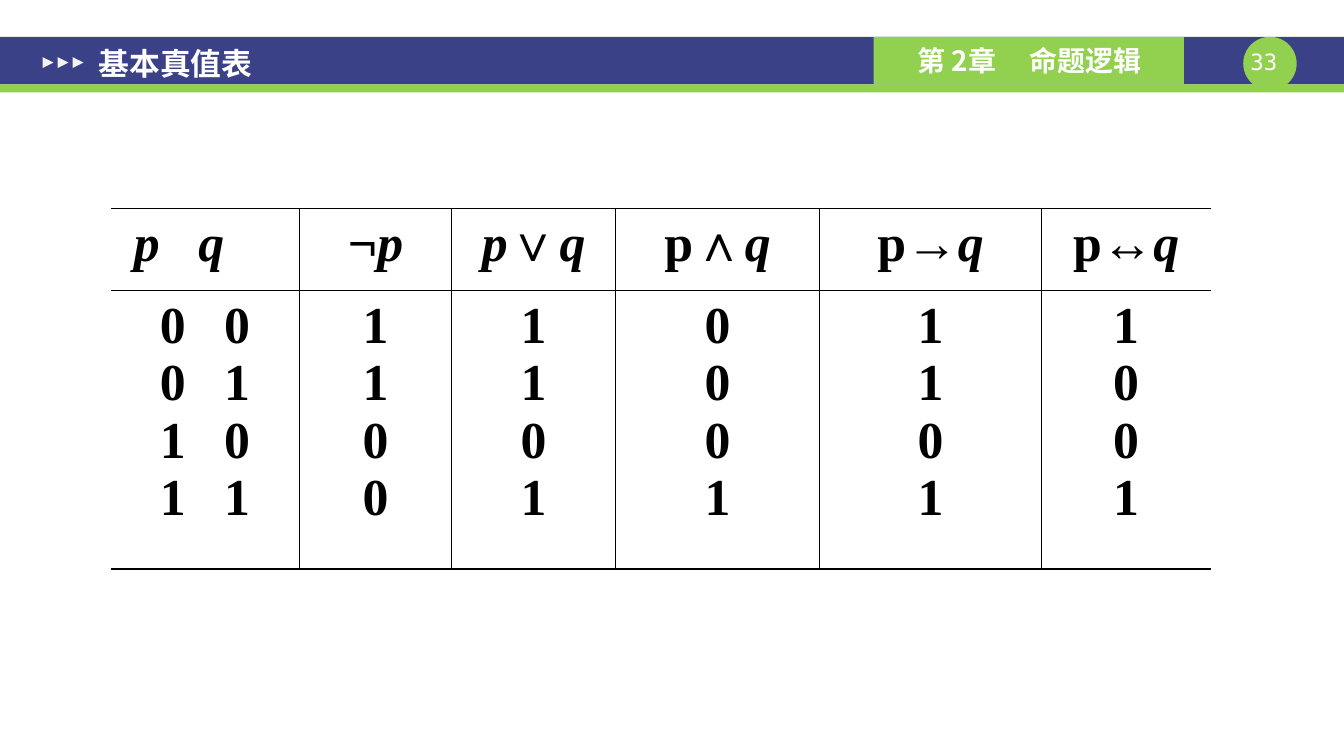
from lxml import etree
from pptx import Presentation
from pptx import util as u
from pptx.dml.color import RGBColor
from pptx.enum import shapes, text
from pptx.oxml import ns

NAVY, GREEN, WHITE, BLACK, PALE = "3A4187", "92D050", "FFFFFF", "000000", "F2F2F2"
SANS, SERIF, MONO = "Noto Sans CJK SC", "Times New Roman", "DejaVu Sans Mono"
Pt = u.Pt


def add_run(paragraph, words, size, font, color, bold=True, italic=False):
    run = paragraph.add_run()
    run.text = words
    run.font.size, run.font.name = Pt(size), font
    run.font.bold, run.font.italic = bold, italic
    run.font.color.rgb = RGBColor.from_string(color)
    east_asian = etree.SubElement(run._r.rPr, ns.qn("a:ea"))
    east_asian.set("typeface", font)


def add_tab_stop(paragraph, position):
    tabs = etree.SubElement(paragraph._p.get_or_add_pPr(), ns.qn("a:tabLst"))
    etree.SubElement(tabs, ns.qn("a:tab"), pos=str(Pt(position)), algn="l")


presentation = Presentation()
presentation.slide_width, presentation.slide_height = Pt(960.48), Pt(540)
slide = presentation.slides.add_slide(presentation.slide_layouts[5])

# Header band: bars, number disc, chapter tab and three arrowheads
RECTANGLE, OVAL, TRIANGLE = (shapes.MSO_SHAPE.RECTANGLE, shapes.MSO_SHAPE.OVAL,
                             shapes.MSO_SHAPE.ISOSCELES_TRIANGLE)
band = [
    (RECTANGLE, 0, 26.3, 960.48, 34, NAVY),
    (RECTANGLE, 0, 60.3, 960.48, 5.7, GREEN),
    (OVAL, 888.5, 26.3, 38.2, 38.2, GREEN),
    (RECTANGLE, 624.3, 26.3, 221.8, 34, GREEN),
]
band += [(TRIANGLE, 30.4 + 10.7 * i, 40.8, 7.8, 7.8, PALE) for i in range(3)]
for kind, left, top, width, height, color in band:
    shape = slide.shapes.add_shape(kind, Pt(left), Pt(top), Pt(width), Pt(height))
    shape.shadow.inherit = False
    shape.fill.solid()
    shape.fill.fore_color.rgb = RGBColor.from_string(color)
    shape.line.fill.background()
    if kind == TRIANGLE:
        shape.rotation = 90
    elif left == 624.3:
        chapter = shape

# Chapter name
frame = chapter.text_frame
frame.margin_left, frame.margin_right = Pt(31.4), 0
frame.vertical_anchor = text.MSO_ANCHOR.MIDDLE
paragraph = frame.paragraphs[0]
paragraph.alignment = text.PP_ALIGN.LEFT
add_tab_stop(paragraph, 80)
add_run(paragraph, "第 2章\t命题逻辑", 20, SANS, WHITE)

# Slide number
number = slide.shapes.add_textbox(Pt(888.5), Pt(34.6), Pt(29.6), Pt(19.4))
frame = number.text_frame
frame.word_wrap = True
frame.margin_left = frame.margin_right = frame.margin_top = frame.margin_bottom = 0
paragraph = frame.paragraphs[0]
paragraph.alignment = text.PP_ALIGN.CENTER
add_run(paragraph, "33", 16, MONO, WHITE, bold=False)

# Title, brought in front of the band
title = slide.shapes.title
title.left, title.top, title.width, title.height = Pt(61.2), Pt(28), Pt(420), Pt(34)
frame = title.text_frame
frame.vertical_anchor = text.MSO_ANCHOR.MIDDLE
frame.margin_left = frame.margin_right = Pt(9.4)
frame.margin_top = frame.margin_bottom = Pt(5)
paragraph = frame.paragraphs[0]
paragraph.alignment = text.PP_ALIGN.LEFT
add_run(paragraph, "基本真值表", 22, SANS, WHITE)
slide.shapes._spTree.append(title._element)

# Truth table: heading as (upright, italic) pairs, then one value per row
columns = [
    (134.8, [("", "p\tq")], ["0\t0", "0\t1", "1\t0", "1\t1"]),
    (108.7, [("¬", "p")], "1100"),
    (117.4, [("", "p"), ("∨", "q")], "1101"),
    (145.4, [("p∧", "q")], "0001"),
    (159.1, [("p→", "q")], "1101"),
    (120.6, [("p↔", "q")], "1001"),
]
table = slide.shapes.add_table(2, len(columns), Pt(79.2), Pt(149), Pt(786), Pt(257.4)).table
table.rows[0].height, table.rows[1].height = Pt(58.6), Pt(198.8)
last = len(columns) - 1

for index, (width, heading, values) in enumerate(columns):
    table.columns[index].width = Pt(width)
    for row in range(2):
        cell = table.cell(row, index)
        cell.margin_left = cell.margin_right = Pt(9.4)
        cell.margin_top = cell.margin_bottom = Pt(5)
        cell.vertical_anchor = text.MSO_ANCHOR.TOP

        # Rules between columns and across rows, with open outer sides
        properties = cell._tc.get_or_add_tcPr()
        sides = {"lnL": index > 0, "lnR": index < last, "lnT": True, "lnB": True}
        for side, visible in sides.items():
            line = etree.SubElement(properties, ns.qn("a:" + side), w=str(Pt(1)))
            if visible:
                fill = etree.SubElement(line, ns.qn("a:solidFill"))
                etree.SubElement(fill, ns.qn("a:srgbClr"), val=BLACK)
            else:
                etree.SubElement(line, ns.qn("a:noFill"))
        cell.fill.background()

        # Cell text
        frame = cell.text_frame
        lines = [heading] if row == 0 else [[(value, "")] for value in values]
        for count, pairs in enumerate(lines):
            paragraph = frame.add_paragraph() if count else frame.paragraphs[0]
            paragraph.alignment = text.PP_ALIGN.CENTER
            if index == 0:
                cell.margin_left = Pt(16.5 if row == 0 else 35)
                paragraph.alignment = text.PP_ALIGN.LEFT
                add_tab_stop(paragraph, 46)
            for upright, italic in pairs:
                if upright:
                    add_run(paragraph, upright, 37, SERIF, BLACK)
                if italic:
                    add_run(paragraph, italic, 37, SERIF, BLACK, italic=True)

presentation.save("out.pptx")
